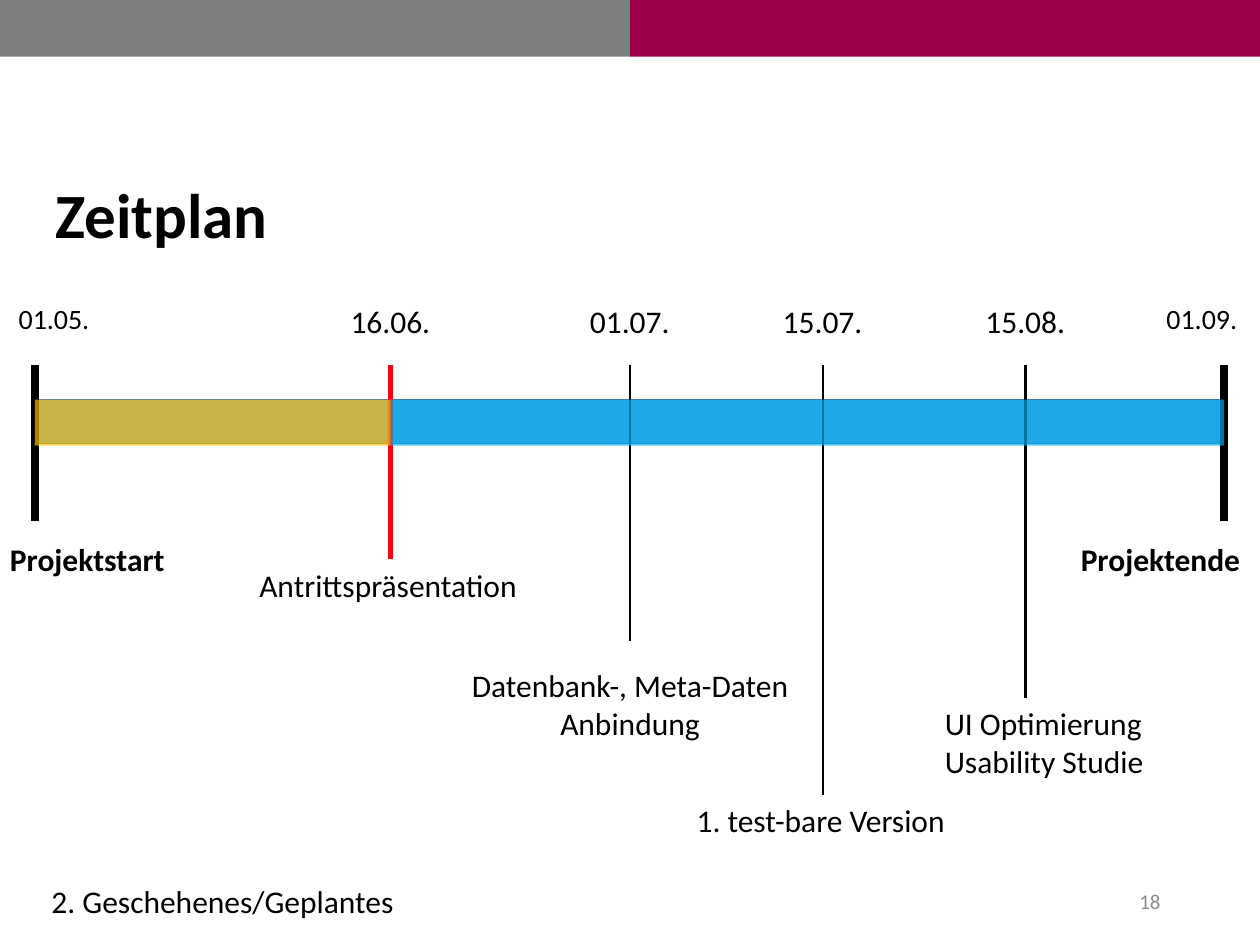
"""Build the project timeline slide."""
from lxml import etree
from pptx import Presentation
from pptx import util as u
from pptx.dml import color
from pptx.enum import shapes, text
from pptx.oxml import ns

BLACK = color.RGBColor(0x00, 0x00, 0x00)
GREY = color.RGBColor(0x7F, 0x7F, 0x7F)
LIGHT_GREY = color.RGBColor(0x8C, 0x8C, 0x8C)
CRIMSON = color.RGBColor(0x9C, 0x00, 0x4B)
RED = color.RGBColor(0xFF, 0x00, 0x00)
STEEL = color.RGBColor(0x5B, 0x9B, 0xD5)
STEEL_EDGE = color.RGBColor(0x43, 0x73, 0x9E)
GOLD = color.RGBColor(0xFF, 0xC0, 0x00)
SKY = color.RGBColor(0x00, 0xB0, 0xF0)
LEFT, CENTER, RIGHT = (text.PP_ALIGN.LEFT, text.PP_ALIGN.CENTER,
                       text.PP_ALIGN.RIGHT)
TOP, MIDDLE = text.MSO_ANCHOR.TOP, text.MSO_ANCHOR.MIDDLE
WIDTH, HEIGHT, BAND_H = 720, 540, 32.4
START, TODAY, END = 20, 223.2, 699.6
BAR_TOP, BAR_H, PROGRESS_H = 228.3, 25.2, 26.4
MARK_TOP = 208.8


class Builder:
    def __init__(self, slide, font="Calibri"):
        self.s = slide
        self.font = font

    def set_text(self, sp, lines, size, bold=False, rgb=BLACK, align=LEFT,
                 anchor=TOP, wrap=False):
        tf = sp.text_frame
        fit = (text.MSO_AUTO_SIZE.NONE if wrap
               else text.MSO_AUTO_SIZE.SHAPE_TO_FIT_TEXT)
        frame = {"word_wrap": wrap, "auto_size": fit,
                 "vertical_anchor": anchor}
        for name, value in frame.items():
            setattr(tf, name, value)
        style = {"name": self.font, "size": u.Pt(size), "bold": bold}
        for i, line in enumerate(lines.split("\n")):
            p = tf.add_paragraph() if i else tf.paragraphs[0]
            p.alignment = align
            r = p.add_run()
            r.text = line
            for name, value in style.items():
                setattr(r.font, name, value)
            r.font.color.rgb = rgb

    def title(self, words, x, y, w, h, size):
        sp = self.s.shapes.title
        place = {"left": x, "top": y, "width": w, "height": h}
        for name, value in place.items():
            setattr(sp, name, u.Pt(value))
        self.set_text(sp, words, size, bold=True)

    def label(self, words, x, y, w, h, size=18, **style):
        sp = self.s.shapes.add_textbox(u.Pt(x), u.Pt(y), u.Pt(w), u.Pt(h))
        self.set_text(sp, words, size, **style)

    def bar(self, x, y, w, h, rgb, edge=None, alpha=None):
        sp = self.s.shapes.add_shape(shapes.MSO_SHAPE.RECTANGLE,
                                     u.Pt(x), u.Pt(y), u.Pt(w), u.Pt(h))
        sp.shadow.inherit = False
        sp.fill.solid()
        sp.fill.fore_color.rgb = rgb
        if edge:
            sp.line.color.rgb = edge
            sp.line.width = u.Pt(1)
        else:
            sp.line.fill.background()
        if alpha:
            clr = sp._element.spPr.find(".//" + ns.qn("a:srgbClr"))
            etree.SubElement(clr, ns.qn("a:alpha"), val=str(alpha * 1000))

    def mark(self, x, bottom, weight, rgb):
        c = self.s.shapes.add_connector(shapes.MSO_CONNECTOR.STRAIGHT, u.Pt(x),
                                        u.Pt(MARK_TOP), u.Pt(x), u.Pt(bottom))
        c.line.color.rgb = rgb
        c.line.width = u.Pt(weight)
        etree.SubElement(c._element.spPr, ns.qn("a:effectLst"))

    def milestone(self, x, bottom, weight, rgb, date, date_mid, date_size,
                  words, mid, y, w, bold=False, align=LEFT):
        self.mark(x, bottom, weight, rgb)
        date_w = 60 if date_size == 18 else 55.4
        self.label(date, date_mid - date_w / 2, 169, date_w, 29, date_size)
        h = 51 if "\n" in words else 29
        self.label(words, mid - w / 2, y, w, h, bold=bold, align=align)


MILESTONES = [
    (START, 298, 4.5, BLACK, "01.05.", 31.3, 16,
     "Projektstart", 50.4, 305.3, 103.6, True),
    (TODAY, 319.7, 3, RED, "16.06.", 223.2, 18,
     "Antrittspräsentation", 222.8, 319.7, 163.4),
    (360, 366.5, 1.5, BLACK, "01.07.", 360, 18,
     "Datenbank-, Meta-Daten\nAnbindung", 360, 377.3, 198, False, CENTER),
    (470.2, 454.3, 1.5, BLACK, "15.07.", 470.2, 18,
     "1. test-bare Version", 470.2, 454.3, 158.4),
    (586, 398.9, 1.5, BLACK, "15.08.", 586, 18,
     "UI Optimierung\nUsability Studie", 597.6, 398.9, 129.6),
    (END, 298, 4.5, BLACK, "01.09.", 687.2, 16,
     "Projektende", 663.8, 305.3, 106.6, True),
]


def main():
    prs = Presentation()
    prs.slide_width, prs.slide_height = u.Pt(WIDTH), u.Pt(HEIGHT)
    b = Builder(prs.slides.add_slide(prs.slide_layouts[5]))
    half = WIDTH / 2
    b.bar(half, 0, half, BAND_H, CRIMSON)
    b.bar(0, 0, half, BAND_H, GREY)
    b.title("Zeitplan", 24.5, 96.5, 137.5, 51, 36)
    b.label("18", 508.3, 500.4, 162, 28.8, 12, rgb=LIGHT_GREY, align=RIGHT,
            anchor=MIDDLE, wrap=True)
    b.label("2. Geschehenes/Geplantes", 22.3, 500.4, 212.4, 29)
    b.bar(START, BAR_TOP, END - START, BAR_H, STEEL, edge=STEEL_EDGE)
    for milestone in MILESTONES:
        b.milestone(*milestone)
    for left, right, rgb in ((START, TODAY, GOLD), (TODAY, END, SKY)):
        b.bar(left, BAR_TOP, right - left, PROGRESS_H, rgb, alpha=67)
    prs.save("out.pptx")


if __name__ == "__main__":
    main()
